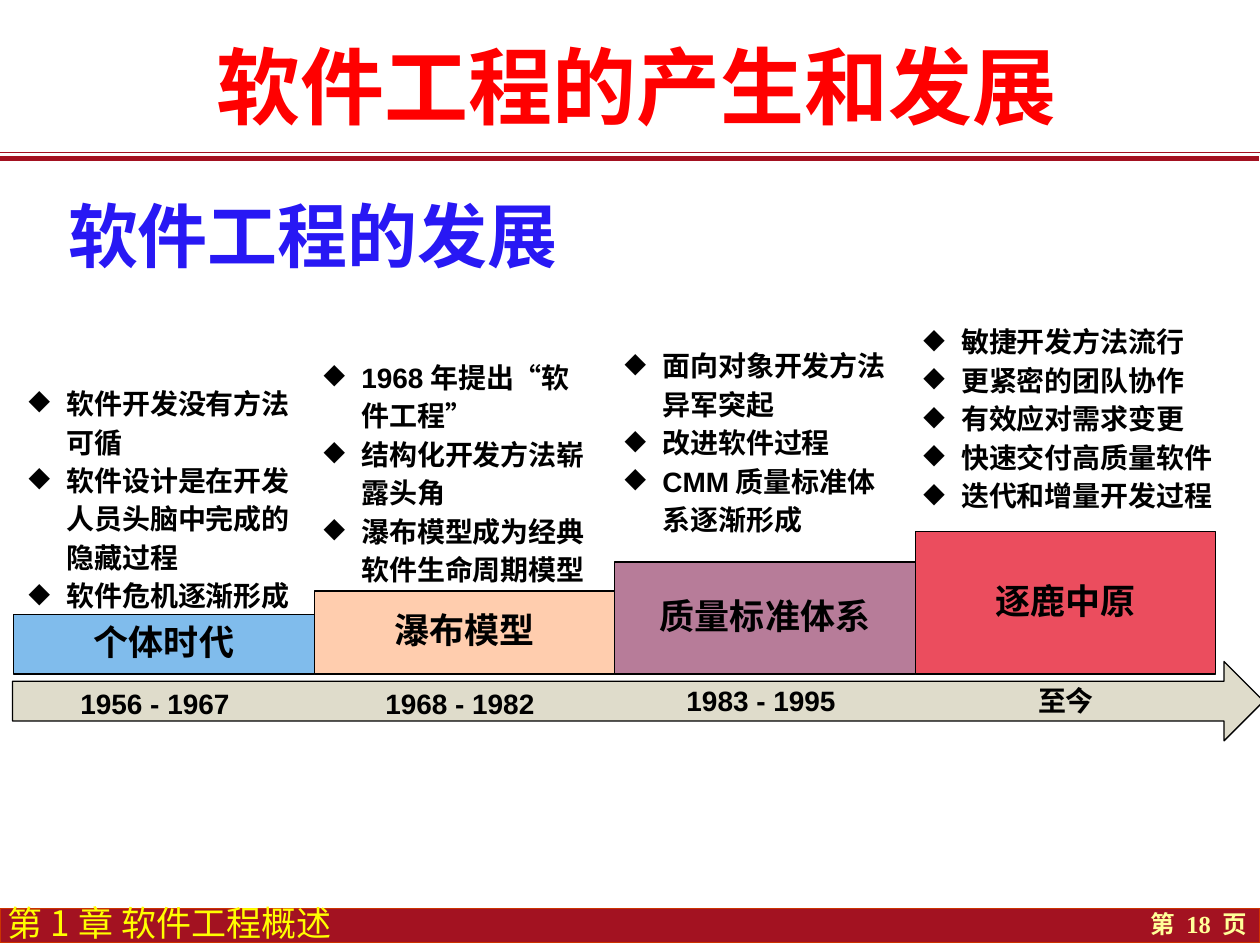
from lxml.etree import SubElement
from pptx import Presentation
from pptx.dml.color import RGBColor as RGB
from pptx.enum.shapes import MSO_CONNECTOR as CONN, MSO_SHAPE as SHAPE
from pptx.enum.text import MSO_ANCHOR as ANCHOR, MSO_AUTO_SIZE as AUTO, PP_ALIGN as ALIGN
from pptx.oxml.ns import qn
from pptx.util import Inches, Pt

C = {"red": "FF0000", "blue": "2818F4", "bar": "A31221", "edge": "CC3300",
     "yellow": "FFFF00", "cream": "FFFF99", "black": "000000", "arrow": "DFDCCB"}
CJK = "Noto Sans CJK SC"

prs = Presentation()
prs.slide_width, prs.slide_height = Inches(10), Inches(7.5)
s = prs.slides.add_slide(prs.slide_layouts[1])


def write(sp, *lines, size=16, font="Arial", color="black", bold=True, align=ALIGN.LEFT,
          anchor=ANCHOR.TOP, spacing=1.0, inset=(0.1, 0.05), wrap=True, bullet=None, indent=0):
    """Fill a shape with one paragraph per line of text."""
    tf = sp.text_frame
    tf.word_wrap, tf.auto_size, tf.vertical_anchor = wrap, AUTO.NONE, anchor
    tf.margin_left = tf.margin_right = Inches(inset[0])
    tf.margin_top = tf.margin_bottom = Inches(inset[1])
    for i, line in enumerate(lines):
        p = tf.add_paragraph() if i else tf.paragraphs[0]
        p.alignment, p.line_spacing, p.space_before = align, spacing, Pt(0)
        pPr = p._p.get_or_add_pPr()
        pPr.set("marL", str(Inches(indent)))
        pPr.set("indent", str(-Inches(indent) if bullet else 0))
        if bullet:
            SubElement(pPr, qn("a:buChar")).set("char", bullet)
        else:
            SubElement(pPr, qn("a:buNone"))
        r = p.add_run()
        r.text = line
        r.font.size, r.font.bold, r.font.name = Pt(size), bold, font
        r.font.color.rgb = RGB.from_string(C[color])
        rPr = r._r.get_or_add_rPr()
        rPr.set("lang", "zh-CN")
        SubElement(rPr, qn("a:ea")).set("typeface", CJK)


def add_box(kind, x, y, w, h, fill, line="000000"):
    sp = s.shapes.add_shape(kind, Inches(x), Inches(y), Inches(w), Inches(h))
    sp.shadow.inherit = False
    sp.fill.solid()
    sp.fill.fore_color.rgb = RGB.from_string(fill)
    sp.line.color.rgb = RGB.from_string(line)
    sp.line.width = Pt(0.75)
    return sp


# Double rule under the title
for x, y, width in [(0, 1.21, 0.75), (-0.01, 1.26, 3)]:
    ln = s.shapes.add_connector(CONN.STRAIGHT, Inches(x), Inches(y), Inches(x + 10), Inches(y))
    ln.line.color.rgb = RGB.from_string(C["bar"])
    ln.line.width = Pt(width)
    SubElement(ln._element.spPr, qn("a:effectLst"))

# Footer bar with chapter and page number
add_box(SHAPE.RECTANGLE, 0, 7.21, 10, 0.27, C["bar"], C["edge"])
page = s.shapes.add_textbox(Inches(8.43), Inches(7.17), Inches(1.57), Inches(0.33))
write(page, "第 18 页", size=14, font="Times New Roman", color="cream",
      align=ALIGN.RIGHT, anchor=ANCHOR.MIDDLE)
chapter = s.shapes.add_textbox(Inches(0.06), Inches(7.24), Inches(3), Inches(0.25))
write(chapter, "第1章 软件工程概述", size=20, font=CJK, color="yellow", bold=False,
      anchor=ANCHOR.BOTTOM, spacing=0.85, inset=(0, 0))

# Title and subtitle
title, body = s.placeholders
title.left, title.top, title.width, title.height = map(Inches, (1.12, 0.33, 7.87, 0.75))
write(title, "软件工程的产生和发展", size=48, font=CJK, color="red", align=ALIGN.CENTER,
      anchor=ANCHOR.BOTTOM, spacing=0.85, inset=(0, 0))
body.left, body.top, body.width, body.height = map(Inches, (0.2, 1.62, 4.65, 0.58))
write(body, "软件工程的发展", size=40, font=CJK, color="blue",
      anchor=ANCHOR.MIDDLE, spacing=0.85, indent=0.24)

# Time arrow
add_box(SHAPE.RIGHT_ARROW, 0.1, 5.25, 9.93, 0.63, C["arrow"])

# Eras: name, fill, step top, notes (left, top, width), period (left, top), notes text
eras = [
    ("个体时代", "80BCEC", 4.88, (0.13, 2.98, 2.36), ("1956 - 1967", 0.54, 5.4),
     ["软件开发没有方法可循", "软件设计是在开发人员头脑中完成的隐藏过程", "软件危机逐渐形成"]),
    ("瀑布模型", "FFCDAE", 4.69, (2.47, 2.77, 2.36), ("1968 - 1982", 2.96, 5.4),
     ["1968年提出“软件工程”", "结构化开发方法崭露头角", "瀑布模型成为经典软件生命周期模型"]),
    ("质量标准体系", "B77C99", 4.46, (4.86, 2.68, 2.36), ("1983 - 1995", 5.35, 5.38),
     ["面向对象开发方法异军突起", "改进软件过程", "CMM质量标准体系逐渐形成"]),
    ("逐鹿中原", "EB4D5E", 4.22, (7.23, 2.49, 2.52), ("至今", 8.14, 5.38),
     ["敏捷开发方法流行", "更紧密的团队协作", "有效应对需求变更", "快速交付高质量软件",
      "迭代和增量开发过程"]),
]
LEFT, STEP, BASE = 0.11, 2.385, 5.35
for i, (name, fill, top, (nx, ny, nw), (period, px, py), notes) in enumerate(eras):
    sp = add_box(SHAPE.RECTANGLE, LEFT + i * STEP, top, STEP, BASE - top, fill)
    write(sp, name, size=20, align=ALIGN.CENTER, anchor=ANCHOR.MIDDLE, spacing=0.9)
    tb = s.shapes.add_textbox(Inches(nx), Inches(ny), Inches(nw), Inches(1.64))
    write(tb, *notes, spacing=Pt(22), bullet="◆", indent=0.3)
    tb = s.shapes.add_textbox(Inches(px), Inches(py), Inches(1.4), Inches(0.37))
    write(tb, period, wrap=False)

prs.save("out.pptx")
